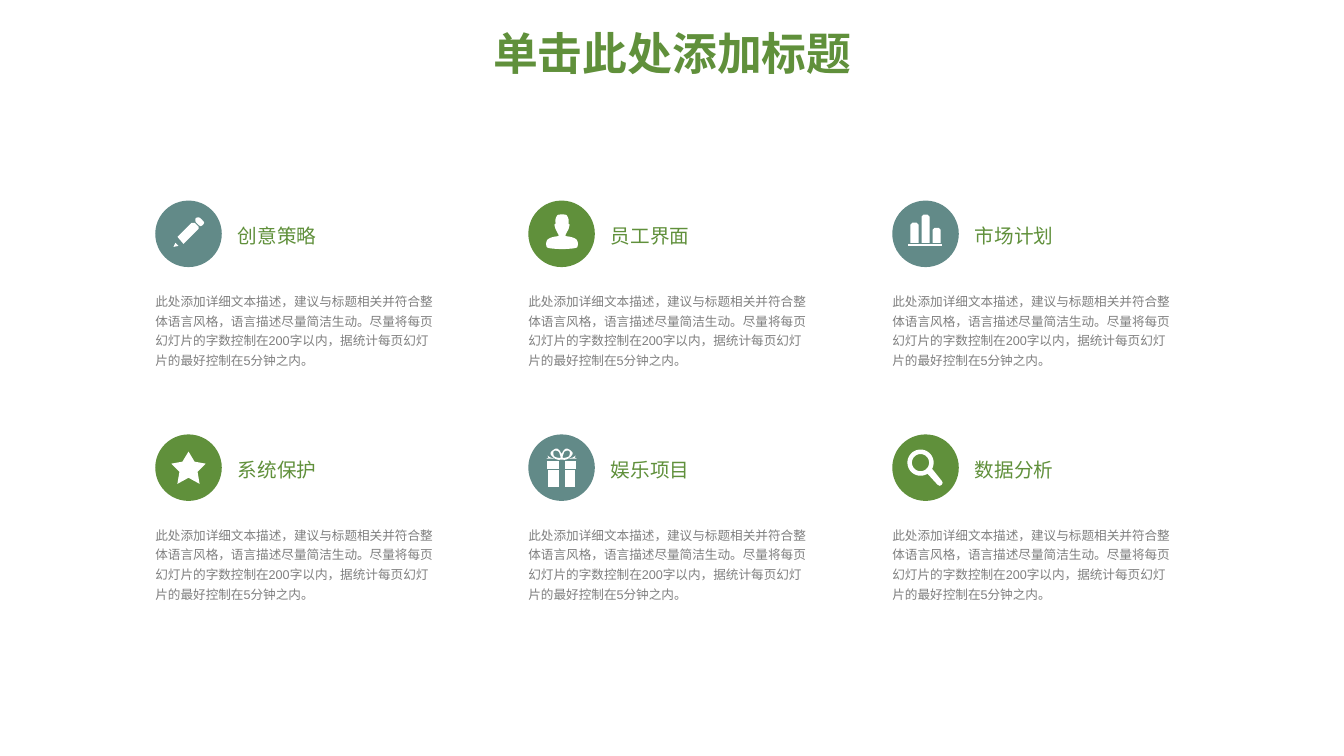
from dataclasses import dataclass
from math import cos, radians, sin

from pptx import Presentation
from pptx.dml.color import RGBColor
from pptx.enum.shapes import MSO_AUTO_SHAPE_TYPE as Preset
from pptx.enum.text import MSO_ANCHOR as Anchor, PP_ALIGN as Align
from pptx.util import Emu, Pt

PX = 9144  # 100 px to the inch


@dataclass(frozen=True)
class Theme:
    font: str = "Arial"
    green: str = "60903B"
    teal: str = "628A88"
    grey: str = "7F7F7F"
    white: str = "FFFFFF"
    title_size: int = 32
    label_size: int = 14
    body_size: int = 9


THEME = Theme()
COLUMNS = (154, 524, 885)
ROWS = (199, 431)
BADGE = 66
DESCRIPTION = (
    "此处添加详细文本描述，建议与标题相关并符合整体语言风格，语言描述尽量简洁生动。"
    "尽量将每页幻灯片的字数控制在200字以内，据统计每页幻灯片的最好控制在5分钟之内。"
)


def px(length):
    return Emu(round(length * PX))


# Outline geometry, in px from the badge's top left corner
def mirrored(points, axis):
    return [(2 * axis - x, y) for x, y in reversed(points)]


def box(left, top, right, bottom):
    return [(left, top), (right, top), (right, bottom), (left, bottom)]


def arc(center, radius, start, end, step=6):
    return [(center + radius * cos(radians(a)), center + radius * sin(radians(a)))
            for a in range(start, end + 1, step)]


def smooth(points, steps=4):
    """Closed Catmull-Rom curve through the points."""
    curve = []
    count = len(points)
    for i in range(count):
        a, b, c, d = (points[(i + k) % count] for k in (-1, 0, 1, 2))
        for step in range(steps):
            t = step / steps
            curve.append(tuple(
                b[n] + t / 2 * (c[n] - a[n]
                                + t * (2 * a[n] - 5 * b[n] + 4 * c[n] - d[n])
                                + t * t * (3 * b[n] - a[n] - 3 * c[n] + d[n]))
                for n in (0, 1)))
    return curve


# Icons: each is a list of outlines, each outline a list of contours
def pencil_icon():
    cap = [(46, 25), (44, 25), (40, 21), (40, 18), (41, 17), (44, 17), (48, 21), (48, 23)]
    body = [(28, 43), (43, 28), (43, 26), (39, 22), (36, 22), (22, 36)]
    tip = [(20, 42), (18, 46), (23, 45)]
    return [[smooth(cap)], [body], [tip]]


def person_icon():
    right_half = [(37, 14), (39, 16), (40, 19), (40, 23), (41, 24), (40, 28), (39, 30),
                  (38, 32), (37, 35), (42, 36), (47, 38), (49, 41), (49, 45), (47, 47), (38, 48)]
    return [[smooth(right_half + mirrored(right_half, 33.5))]]


def bars_icon():
    base = 42
    bars = [[[(left, base), (left, top + 2), (left + 2, top),
              (left + 6, top), (left + 8, top + 2), (left + 8, base)]]
            for left, top in ((18, 22), (29, 14), (40, 27))]
    return bars + [[box(16, 43, 49, 45)]]


def star_icon():
    right_half = [(33, 17), (39, 27), (50, 29), (42, 37), (44, 49), (33, 43)]
    return [[right_half + mirrored(right_half, 33)[1:-1]]]


def gift_icon():
    axis = 33
    loop = [(33, 19), (35, 16), (38, 14), (42, 16), (44, 19), (41, 23), (37, 25), (33, 25)]
    hole = smooth([(34, 23), (35, 19), (36, 17), (39, 16), (41, 17), (41, 20), (40, 22), (37, 23)])
    bow = smooth(loop + mirrored(loop, axis)[1:-1])
    tail = [(44, 24), (48, 24), (46, 23), (47, 21), (44, 23), (40, 24)]
    halves = [box(36, 26, 47, 34), box(36, 35, 46, 52), tail]
    return [[bow, hole, mirrored(hole, axis)]] + [
        [side] for half in halves for side in (half, mirrored(half, axis))]


def magnifier_icon():
    handle = [(49, 46), (50, 48), (49, 50), (47, 51), (45, 50)]
    return [[arc(28, 13, 58, 392) + handle, arc(28, 8.5, 0, 354)]]


# Slide elements
def paint(shape, color):
    shape.shadow.inherit = False
    shape.fill.solid()
    shape.fill.fore_color.rgb = RGBColor.from_string(color)
    shape.line.fill.background()


def add_badge(slide, left, top, color):
    badge = slide.shapes.add_shape(
        Preset.ROUNDED_RECTANGLE, px(left), px(top), px(BADGE), px(BADGE))
    badge.adjustments[0] = 0.5
    paint(badge, color)


def add_icon(slide, left, top, outlines):
    for contours in outlines:
        builder = None
        for contour in contours:
            start, *rest = [(px(left + x), px(top + y)) for x, y in contour]
            if builder is None:
                builder = slide.shapes.build_freeform(*start, scale=1.0)
            else:
                builder.move_to(*start)
            builder.add_line_segments(rest, close=True)
        paint(builder.convert_to_shape(), THEME.white)


def add_text(slide, frame, text, size, color, anchor=Anchor.MIDDLE,
             align=Align.LEFT, spacing=1.0, bold=False):
    text_frame = slide.shapes.add_textbox(*map(px, frame)).text_frame
    text_frame.word_wrap = True
    text_frame.vertical_anchor = anchor
    text_frame.margin_left = text_frame.margin_right = 0
    text_frame.margin_top = text_frame.margin_bottom = 0
    paragraph = text_frame.paragraphs[0]
    paragraph.text = text
    paragraph.alignment = align
    paragraph.line_spacing = spacing
    paragraph.font.name = THEME.font
    paragraph.font.size = Pt(size)
    paragraph.font.bold = bold
    paragraph.font.color.rgb = RGBColor.from_string(color)


def add_topic(slide, left, top, label, color, outlines):
    add_badge(slide, left, top, color)
    add_icon(slide, left, top, outlines)
    add_text(slide, (left + 82, top + 23, 193, 24), label, THEME.label_size, THEME.green)
    add_text(slide, (left, top + 88, 275, 87), DESCRIPTION, THEME.body_size, THEME.grey,
             anchor=Anchor.TOP, spacing=1.3)


def main():
    deck = Presentation()
    deck.slide_width, deck.slide_height = px(1333), px(750)
    slide = deck.slides.add_slide(deck.slide_layouts[6])

    # Title
    add_text(slide, (92, 26, 1150, 60), "单击此处添加标题", THEME.title_size, THEME.green,
             align=Align.CENTER, spacing=0.9, bold=True)

    # Topics, row by row
    topics = (
        ("创意策略", THEME.teal, pencil_icon()),
        ("员工界面", THEME.green, person_icon()),
        ("市场计划", THEME.teal, bars_icon()),
        ("系统保护", THEME.green, star_icon()),
        ("娱乐项目", THEME.teal, gift_icon()),
        ("数据分析", THEME.green, magnifier_icon()),
    )
    for index, topic in enumerate(topics):
        row, column = divmod(index, len(COLUMNS))
        add_topic(slide, COLUMNS[column], ROWS[row], *topic)

    deck.save("out.pptx")


if __name__ == "__main__":
    main()
